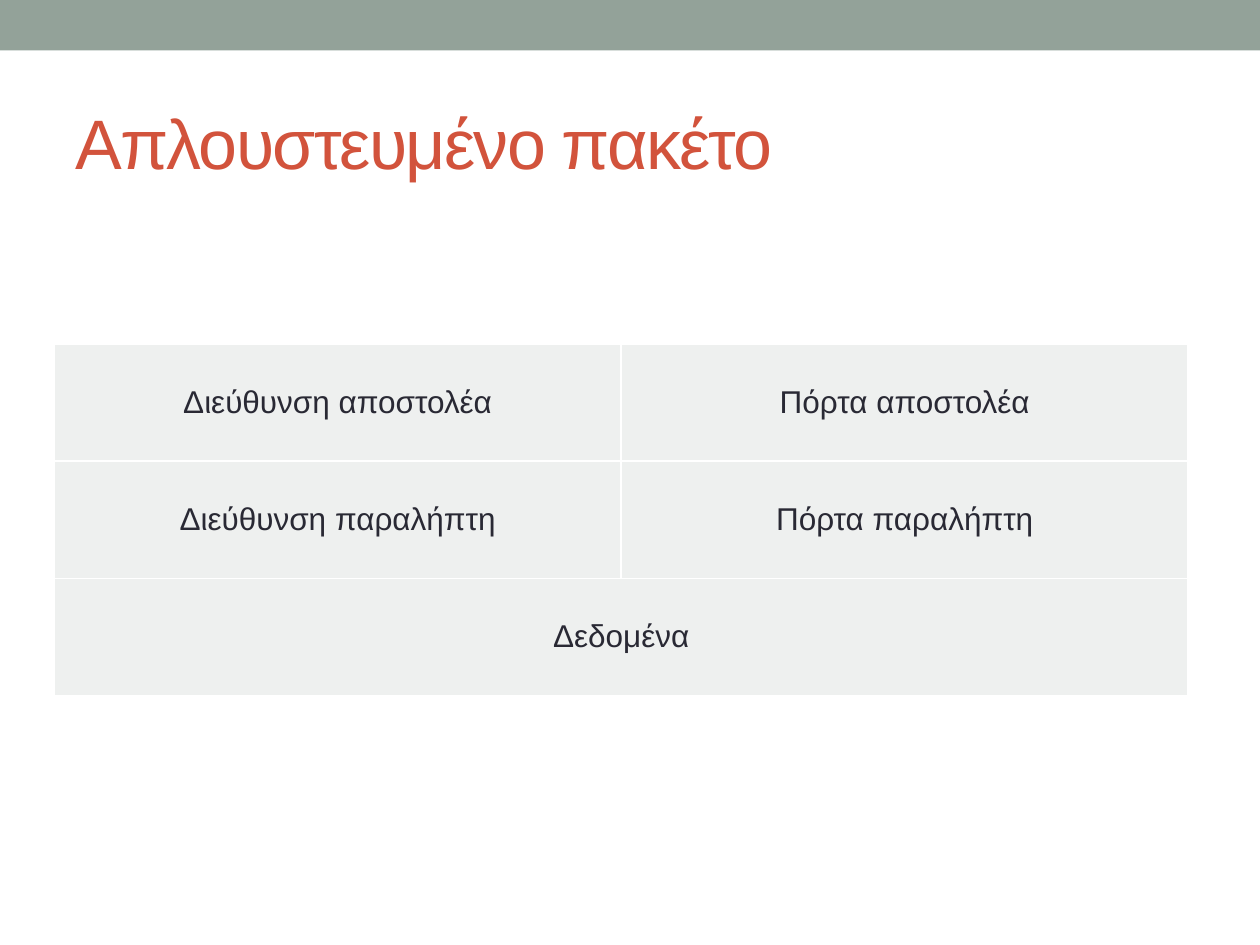
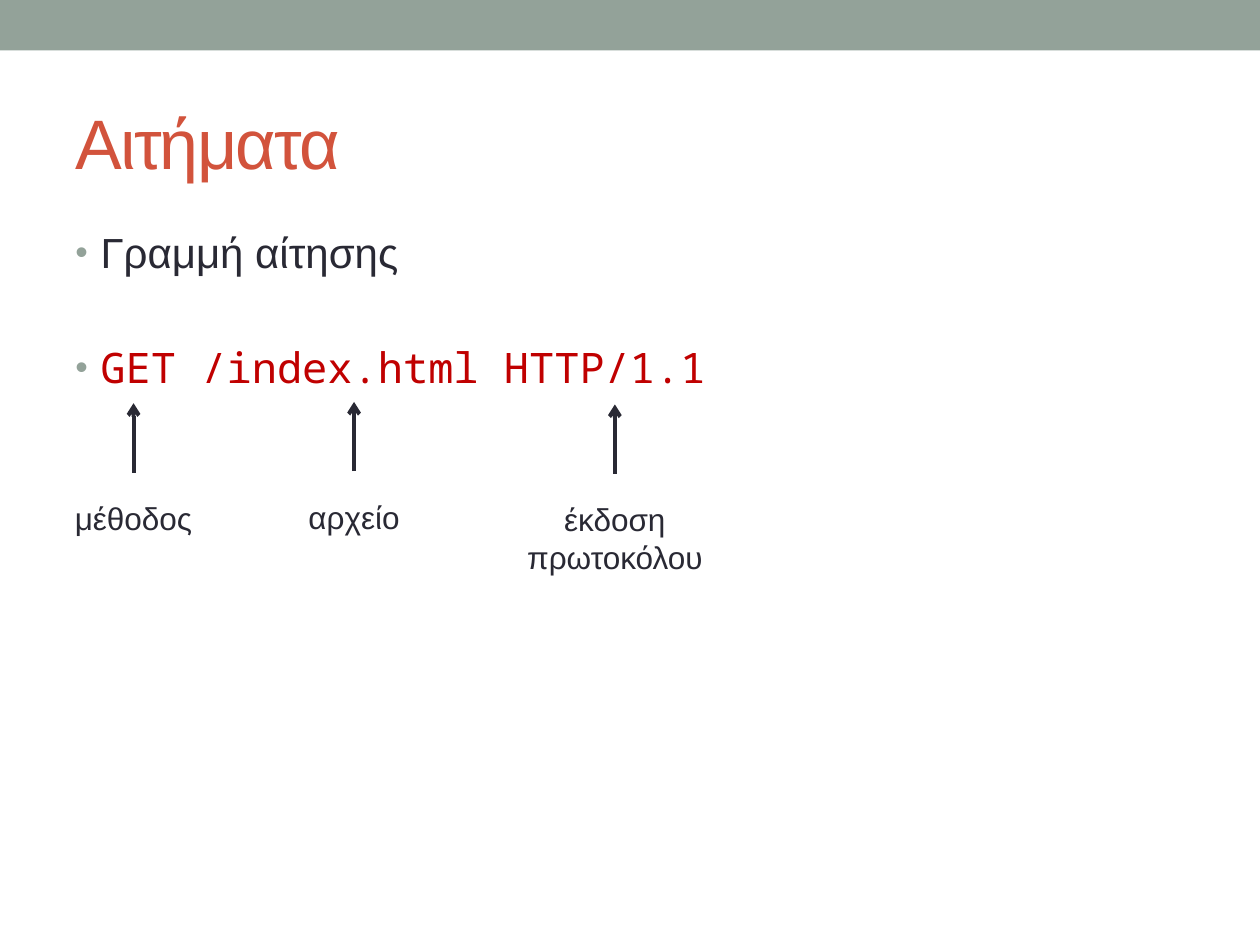
from dataclasses import dataclass

from pptx import Presentation
from pptx.dml.color import RGBColor
from pptx.enum.shapes import MSO_CONNECTOR as Connector, MSO_SHAPE as Shape
from pptx.enum.text import MSO_ANCHOR as Anchor, PP_ALIGN as Align
from pptx.oxml.ns import qn
from pptx.util import Inches, Pt
from lxml.etree import SubElement


@dataclass(frozen=True)
class Theme:
    band: str = "93A299"
    title: str = "D2533C"
    ink: str = "292934"
    code: str = "C00000"
    cell: str = "EEF0EF"
    grid: str = "FFFFFF"
    sans: str = "Arial"
    mono: str = "Noto Sans Mono"
    title_size: int = 40
    body_size: int = 24
    label_size: int = 18


def rgb(color):
    return RGBColor.from_string(color)


def add_color(parent, color):
    SubElement(parent, qn("a:srgbClr"), val=color)


class SlideBuilder:
    def __init__(self, deck, theme):
        self.deck = deck
        self.theme = theme
        self.page = None

    def start(self, title):
        self.page = self.deck.slides.add_slide(self.deck.slide_layouts[6])
        band = self.page.shapes.add_shape(Shape.RECTANGLE, 0, 0, Inches(10), Inches(0.4))
        band.shadow.inherit = False
        band.fill.solid()
        band.fill.fore_color.rgb = rgb(self.theme.band)
        band.line.fill.background()
        frame = self.text_frame(0.5, 0.58, 9, 1.08)
        frame.vertical_anchor = Anchor.MIDDLE
        span = self.add_span(frame.paragraphs[0], title, self.theme.title_size, self.theme.title)
        span.font._element.set("spc", "-100")

    def text_frame(self, left, top, width, height):
        box = self.page.shapes.add_textbox(
            Inches(left), Inches(top), Inches(width), Inches(height))
        box.text_frame.word_wrap = True
        return box.text_frame

    def add_span(self, para, text, size, color=None, font=None):
        span = para.add_run()
        span.text = text
        span.font.size = Pt(size)
        span.font.name = font or self.theme.sans
        span.font.color.rgb = rgb(color or self.theme.ink)
        return span

    def bullets(self, items):
        frame = self.text_frame(0.5, 1.75, 9, 5.33)
        for index, (text, color, font, space) in enumerate(items):
            para = frame.add_paragraph() if index else frame.paragraphs[0]
            para.space_before = Pt(space)
            indent = Inches(0.2)
            props = para._p.get_or_add_pPr()
            props.set("marL", str(indent))
            props.set("indent", str(-indent))
            add_color(SubElement(props, qn("a:buClr")), self.theme.band)
            SubElement(props, qn("a:buSzPct"), val="85000")
            SubElement(props, qn("a:buFont"), typeface=self.theme.sans)
            SubElement(props, qn("a:buChar"), char="•")
            self.add_span(para, text, self.theme.body_size, color, font)

    def label(self, text, center, top, width, height):
        para = self.text_frame(center - width / 2, top, width, height).paragraphs[0]
        para.alignment = Align.CENTER
        self.add_span(para, text, self.theme.label_size)

    def up_arrow(self, x, top, length):
        arrow = self.page.shapes.add_connector(
            Connector.STRAIGHT, Inches(x), Inches(top + length), Inches(x), Inches(top))
        arrow.line.color.rgb = rgb(self.theme.ink)
        arrow.line.width = Pt(2.25)
        SubElement(arrow.line._get_or_add_ln(), qn("a:tailEnd"), type="arrow")
        SubElement(arrow._element.spPr, qn("a:effectLst"))

    def style_cell(self, cell):
        props = cell._tc.get_or_add_tcPr()
        for side in ("lnL", "lnR", "lnT", "lnB"):
            edge = SubElement(props, qn(f"a:{side}"), w=str(Pt(1)))
            add_color(SubElement(edge, qn("a:solidFill")), self.theme.grid)
        cell.fill.solid()
        cell.fill.fore_color.rgb = rgb(self.theme.cell)
        cell.vertical_anchor = Anchor.MIDDLE

    def packet_table(self, rows):
        columns = max(len(row) for row in rows)
        table = self.page.shapes.add_table(
            len(rows), columns, Inches(0.43), Inches(2.73),
            Inches(9), Inches(0.93 * len(rows))).table
        table.first_row = table.horz_banding = False
        for cell in table.iter_cells():
            self.style_cell(cell)
        for index, row in enumerate(rows):
            if len(row) < columns:
                table.cell(index, len(row) - 1).merge(table.cell(index, columns - 1))
            for column, text in enumerate(row):
                para = table.cell(index, column).text_frame.paragraphs[0]
                para.alignment = Align.CENTER
                self.add_span(para, text, self.theme.label_size)


def main():
    deck = Presentation()
    deck.slide_width, deck.slide_height = Inches(10), Inches(7.5)
    theme = Theme()
    builder = SlideBuilder(deck, theme)

    builder.start("Απλουστευμένο πακέτο")
    builder.packet_table([
        ["Διεύθυνση αποστολέα", "Πόρτα αποστολέα"],
        ["Διεύθυνση παραλήπτη", "Πόρτα παραλήπτη"],
        ["Δεδομένα"],
    ])

    builder.start("Αιτήματα")
    builder.bullets([
        ("Γραμμή αίτησης", theme.ink, theme.sans, 4.8),
        ("GET /index.html HTTP/1.1", theme.code, theme.mono, 37),
    ])
    request_parts = [
        ("μέθοδος", 1.06, 3.2, 1.5, 0.4),
        ("αρχείο", 2.81, 3.19, 1.5, 0.4),
        ("έκδοση πρωτοκόλου", 4.88, 3.21, 1.81, 0.71),
    ]
    for text, center, top, width, height in request_parts:
        builder.up_arrow(center, top, 0.55)
        builder.label(text, center, top + 0.71, width, height)

    deck.save("out.pptx")


if __name__ == "__main__":
    main()
